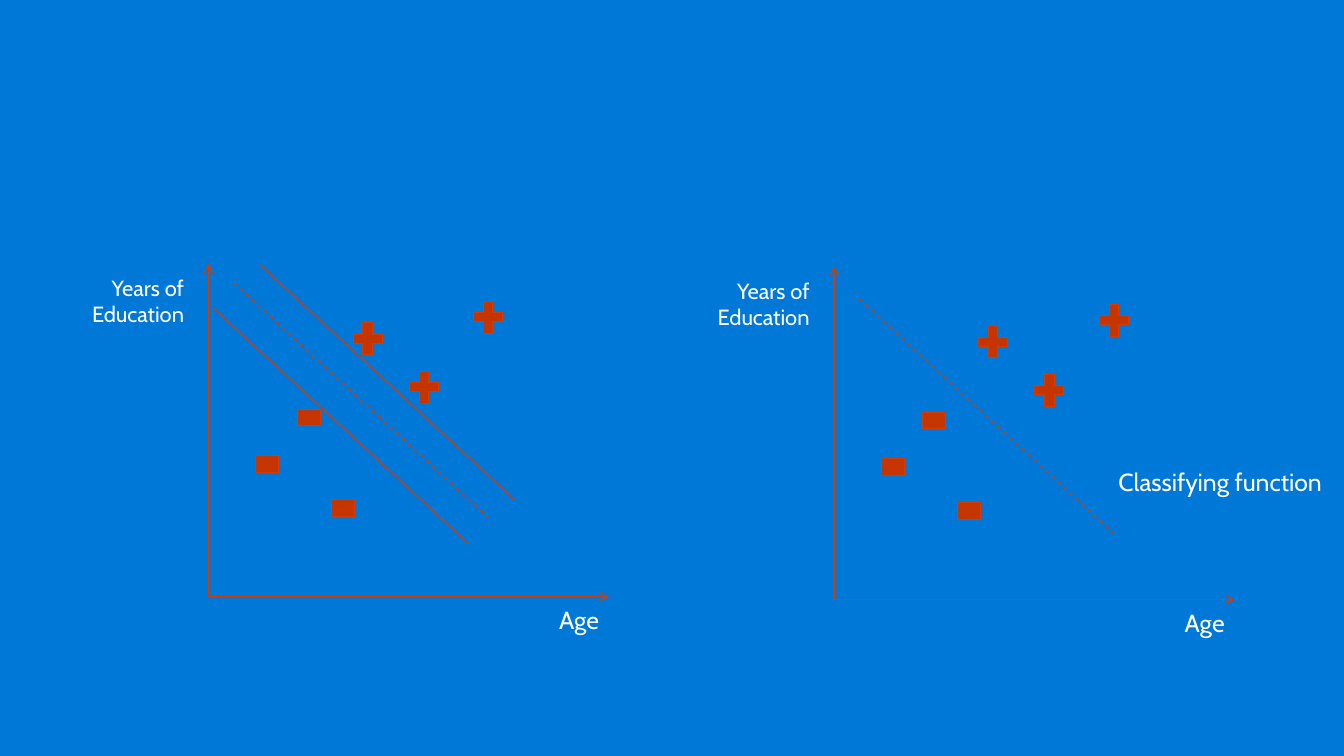
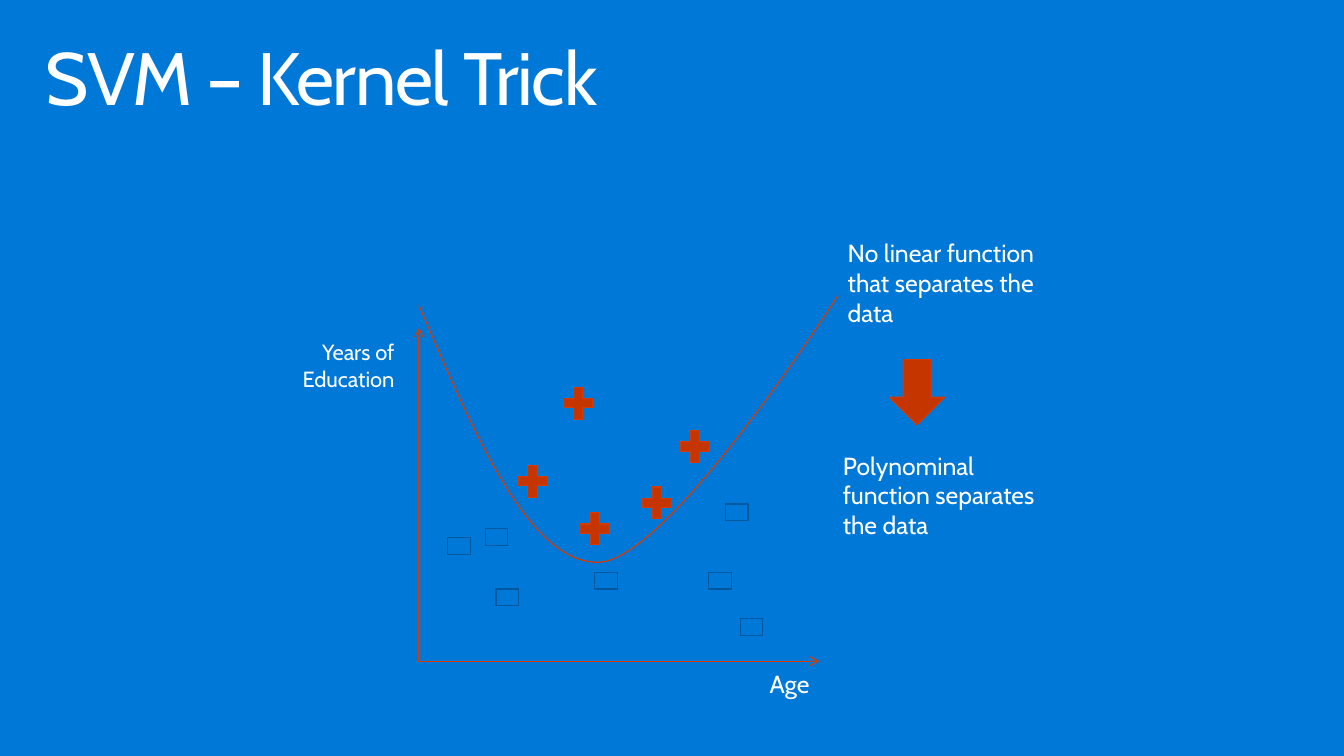
from dataclasses import dataclass

from lxml import etree
from pptx import Presentation
from pptx.dml.color import RGBColor
from pptx.enum import dml, shapes, text
from pptx.oxml.ns import qn
from pptx.util import Inches, Pt

COLORS = {"background": "0078D7", "text": "FFFFFF", "line": "D83B01",
          "marker": "C53500", "muted": "00599F"}
FONT = "Cabin"
SHAPE = shapes.MSO_SHAPE
X_AXIS, Y_AXIS = 4.06, 3.37
BOUNDARY = (2.58, 2.38)

Point = tuple[float, float]


@dataclass(frozen=True)
class Marker:
    kind: SHAPE
    width: float
    height: float
    fill: str = "marker"
    line: str = "line"
    weight: float = 0.75


PLUS = Marker(SHAPE.MATH_PLUS, 0.4, 0.44)
SQUARE = Marker(SHAPE.RECTANGLE, 0.23, 0.17)
HOLLOW = Marker(SHAPE.RECTANGLE, 0.23, 0.17, "background", "muted", 0.85)
ARROW = Marker(SHAPE.DOWN_ARROW, 0.56, 0.66)


@dataclass(frozen=True)
class Boundary:
    """A separating line; start is an offset from the plot's origin."""
    start: Point
    dashed: bool = False


@dataclass(frozen=True)
class Plot:
    """Axes at an origin, with markers placed by offset from it."""
    origin: Point
    markers: dict[Marker, list[Point]]
    boundaries: tuple[Boundary, ...] = ()

    def at(self, offset: Point) -> Point:
        return self.origin[0] + offset[0], self.origin[1] + offset[1]


SEPARABLE = {
    SQUARE: [(0.49, -1.43), (0.91, -1.9), (1.26, -0.98)],
    PLUS: [(1.42, -2.83), (1.99, -2.34), (2.64, -3.05)],
}
CLASSIFIER = Plot((8.43, 6.07), SEPARABLE, (Boundary((0.26, -3.05), True),))
MARGINS = Plot((2.1, 6.04), SEPARABLE, (
    Boundary((0.26, -3.18), True),
    Boundary((0.06, -2.92)),
    Boundary((0.53, -3.36)),
))
KERNEL = Plot((4.23, 6.69), {
    HOLLOW: [(0.3, -1.25), (0.68, -1.34), (0.79, -0.73), (1.79, -0.9),
             (3.11, -1.59), (2.94, -0.9), (3.26, -0.43)],
    PLUS: [(1.42, -2.83), (2.22, -1.82), (2.6, -2.39), (1.59, -1.56),
           (0.96, -2.04)],
})
POLYNOMIAL = [
    ((4.24, 3.09), (4.8, 4.4), (5.36, 5.71), (6.06, 5.69)),
    ((6.06, 5.69), (6.77, 5.67), (8.48, 2.99), (8.48, 2.99)),
]


def rgb(name: str) -> RGBColor:
    return RGBColor.from_string(COLORS[name])


def add_slide(prs):
    s = prs.slides.add_slide(prs.slide_layouts[6])
    s.background.fill.solid()
    s.background.fill.fore_color.rgb = rgb("background")
    return s


def add_text(s, words: str, at: Point, width: float, height: float,
             size: int = 18, align=text.PP_ALIGN.LEFT):
    box = s.shapes.add_textbox(*map(Inches, (*at, width, height)))
    tf = box.text_frame
    tf.word_wrap = True
    tf.auto_size = text.MSO_AUTO_SIZE.SHAPE_TO_FIT_TEXT
    p = tf.paragraphs[0]
    p.text = words
    p.alignment = align
    p.font.name, p.font.size = FONT, Pt(size)
    p.font.color.rgb = rgb("text")
    return tf


def add_title(s, words: str) -> None:
    tf = add_text(s, words, (0.3, 0.32), 13, 1, 54)
    tf.auto_size = text.MSO_AUTO_SIZE.NONE
    tf.margin_left = tf.margin_right = Inches(0.16)
    tf.margin_top = tf.margin_bottom = Inches(0.1)
    p = tf.paragraphs[0]
    p.line_spacing = 0.9
    p.runs[0].font._element.set("spc", "-100")


def add_line(s, start: Point, end: Point, dashed: bool = False,
             arrow: bool = False) -> None:
    c = s.shapes.add_connector(shapes.MSO_CONNECTOR.STRAIGHT,
                               *map(Inches, (*start, *end)))
    c.line.color.rgb = rgb("line")
    c.line.width = Pt(0.85)
    if dashed:
        c.line.dash_style = dml.MSO_LINE.DASH
    if arrow:
        etree.SubElement(c.line._get_or_add_ln(), qn("a:tailEnd"), type="arrow")
    etree.SubElement(c._element.spPr, qn("a:effectLst"))


def add_marker(s, marker: Marker, at: Point) -> None:
    sp = s.shapes.add_shape(
        marker.kind, *map(Inches, (*at, marker.width, marker.height)))
    sp.shadow.inherit = False
    sp.fill.solid()
    sp.fill.fore_color.rgb = rgb(marker.fill)
    sp.line.color.rgb = rgb(marker.line)
    sp.line.width = Pt(marker.weight)


def bezier(controls: tuple[Point, ...], t: float) -> Point:
    weights = ((1 - t) ** 3, 3 * t * (1 - t) ** 2, 3 * t ** 2 * (1 - t), t ** 3)
    x, y = (sum(w * c[axis] for w, c in zip(weights, controls))
            for axis in (0, 1))
    return x, y


def add_curve(s, segments: list[tuple[Point, ...]], steps: int = 40) -> None:
    """Draw joined cubic curves as one open outline."""
    points = [bezier(controls, i / steps)
              for controls in segments for i in range(1, steps + 1)]
    builder = s.shapes.build_freeform(*map(Inches, segments[0][0]))
    builder.add_line_segments([(Inches(x), Inches(y)) for x, y in points],
                              close=False)
    sp = builder.convert_to_shape()
    sp.shadow.inherit = False
    sp.fill.background()
    sp.line.color.rgb = rgb("line")
    sp.line.width = Pt(0.85)


def add_plot(s, plot: Plot) -> None:
    right = text.PP_ALIGN.RIGHT
    add_line(s, plot.origin, plot.at((X_AXIS, 0)), arrow=True)
    add_line(s, plot.at((0.01, 0)), plot.at((0.01, -Y_AXIS)), arrow=True)
    add_text(s, "Years of Education", plot.at((-1.36, -3.31)), 1.22, 0.64,
             16, right)
    add_text(s, "Age", plot.at((2.84, 0.03)), 1.22, 0.4, align=right)
    for marker, offsets in plot.markers.items():
        for offset in offsets:
            add_marker(s, marker, plot.at(offset))
    for boundary in plot.boundaries:
        x, y = plot.at(boundary.start)
        add_line(s, (x, y), (x + BOUNDARY[0], y + BOUNDARY[1]),
                 boundary.dashed)


def build_margin_slide(prs) -> None:
    s = add_slide(prs)
    add_plot(s, CLASSIFIER)
    add_text(s, "Classifying function", (11.22, 4.67), 2.33, 0.4)
    add_plot(s, MARGINS)


def build_kernel_slide(prs) -> None:
    s = add_slide(prs)
    add_title(s, "SVM – Kernel Trick")
    add_plot(s, KERNEL)
    add_text(s, "No linear function that separates the data",
             (8.48, 2.36), 2.25, 1.01)
    add_marker(s, ARROW, (9, 3.64))
    add_text(s, "Polynominal function separates the data",
             (8.43, 4.51), 2.25, 1.01)
    add_curve(s, POLYNOMIAL)


def main() -> None:
    prs = Presentation()
    prs.slide_width, prs.slide_height = Inches(13.6), Inches(7.65)
    build_margin_slide(prs)
    build_kernel_slide(prs)
    prs.save("out.pptx")


if __name__ == "__main__":
    main()
